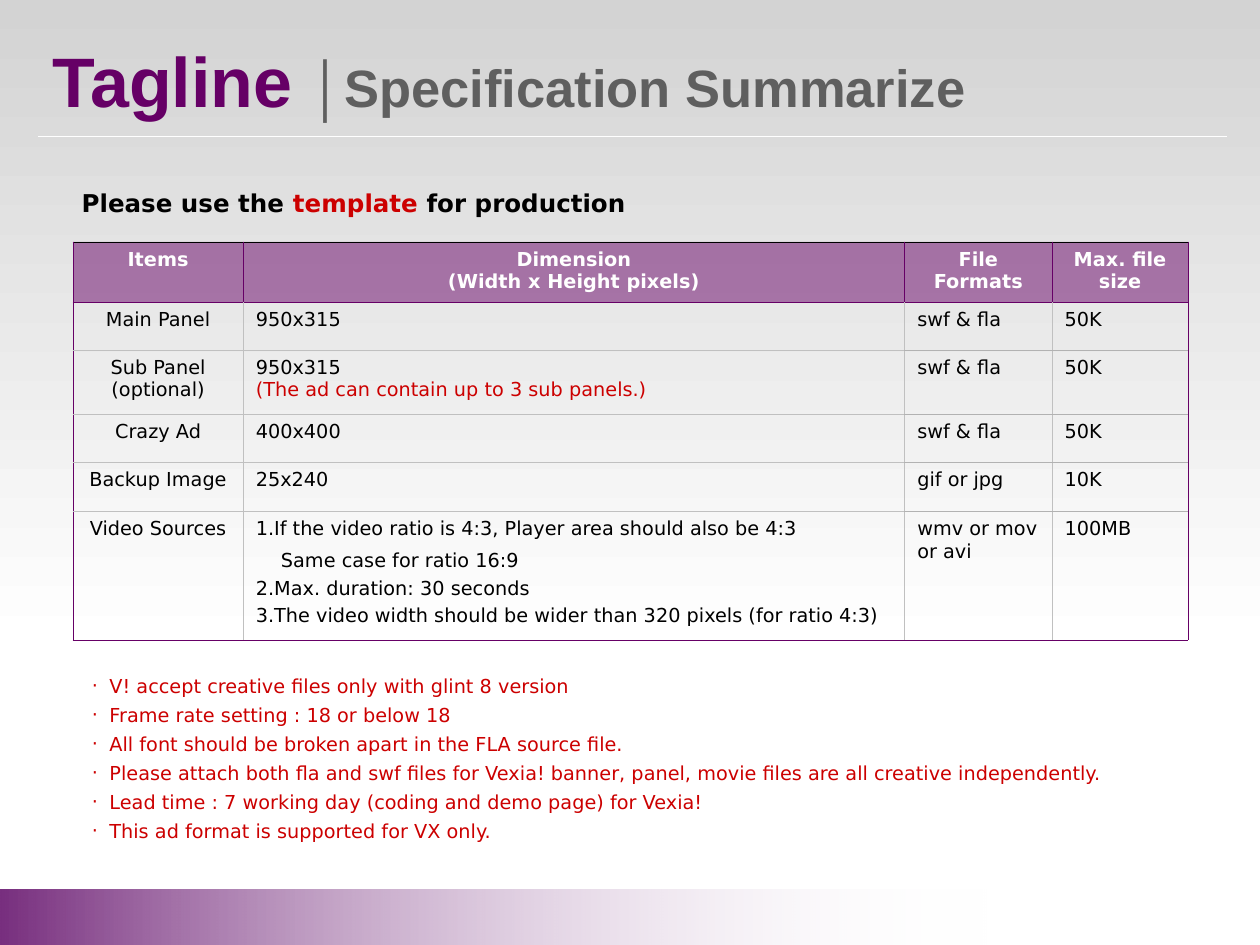
from dataclasses import dataclass
from typing import Optional

from lxml.etree import SubElement
from pptx import Presentation
from pptx.dml.color import RGBColor
from pptx.enum.shapes import MSO_CONNECTOR, MSO_SHAPE
from pptx.enum.text import MSO_AUTO_SIZE, PP_ALIGN
from pptx.oxml.ns import qn
from pptx.util import Inches, Pt

COLORS = {
    "purple": "660066",
    "bar": "782F7F",
    "red": "CC0000",
    "black": "000000",
    "white": "FFFFFF",
    "title_gray": "5F5F5F",
    "backdrop": "D3D3D3",
    "light_rule": "C0C0C0",
    "rule": "B2B2B2",
}
BODY_FONT = "DejaVu Sans"
COLUMN_WIDTHS = [1.35, 5.25, 1.17, 1.08]
ROW_HEIGHTS = [0.48, 0.38, 0.51, 0.38, 0.39, 1.02]


@dataclass
class Line:
    text: str
    color: str = "black"
    size: float = 11
    bold: bool = False
    font: str = BODY_FONT
    space_before: float = 0
    indent: float = 0


@dataclass
class Gradient:
    left: float
    top: float
    width: float
    height: float
    start: str
    angle: int
    end_alpha: Optional[int] = None


GRADIENTS = [
    Gradient(0, 0, 10, 5.12, "backdrop", 270),
    Gradient(0, 7.06, 7.87, 0.49, "bar", 0, end_alpha=0),
]
HEADERS = [["Items"], ["Dimension", "(Width x Height pixels)"], ["File Formats"], ["Max. file size"]]
ROWS = [
    [["Main Panel"], ["950x315"], ["swf & fla"], ["50K"]],
    [["Sub Panel", "(optional)"],
     ["950x315", Line("(The ad can contain up to 3 sub panels.)", color="red")],
     ["swf & fla"], ["50K"]],
    [["Crazy Ad"], ["400x400"], ["swf & fla"], ["50K"]],
    [["Backup Image"], ["25x240"], ["gif or jpg"], ["10K"]],
    [["Video Sources"],
     ["1.If the video ratio is 4:3, Player area should also be 4:3",
      Line("Same case for ratio 16:9", space_before=5.5, indent=0.2),
      Line("2.Max. duration: 30 seconds", space_before=2.8),
      Line("3.The video width should be wider than 320 pixels (for ratio 4:3)", space_before=2.8)],
     ["wmv or mov or avi"], ["100MB"]],
]
NOTES = [
    "V! accept creative files only with glint 8 version",
    "Frame rate setting : 18 or below 18",
    "All font should be broken apart in the FLA source file.",
    "Please attach both fla and swf files for Vexia! banner, panel, movie files are all creative independently.",
    "Lead time : 7 working day (coding and demo page) for Vexia!",
    "This ad format is supported for VX only.",
]


def rgb(name: str) -> RGBColor:
    return RGBColor.from_string(COLORS[name])


def set_alpha(color_element, percent: int) -> None:
    SubElement(color_element, qn("a:alpha")).set("val", str(percent * 1000))


def write(paragraph, text: str, *, color="black", size=11, bold=False, font=BODY_FONT) -> None:
    run = paragraph.add_run()
    run.text = text
    run.font.name = font
    run.font.size = Pt(size)
    run.font.bold = bold
    run.font.color.rgb = rgb(color)


def next_paragraph(frame, index: int):
    return frame.paragraphs[0] if index == 0 else frame.add_paragraph()


def add_gradient(slide, item: Gradient) -> None:
    shape = slide.shapes.add_shape(
        MSO_SHAPE.RECTANGLE, Inches(item.left), Inches(item.top), Inches(item.width), Inches(item.height))
    shape.shadow.inherit = False
    shape.line.fill.background()
    shape.fill.gradient()
    shape.fill.gradient_angle = item.angle
    for stop, color in zip(shape.fill.gradient_stops, (item.start, "white")):
        stop.color.rgb = rgb(color)
    if item.end_alpha is not None:
        set_alpha(shape.element.findall(".//" + qn("a:srgbClr"))[-1], item.end_alpha)


def add_text_box(slide, left: float, top: float, width: float, height: float, wrap: bool = True):
    box = slide.shapes.add_textbox(Inches(left), Inches(top), Inches(width), Inches(height))
    box.text_frame.word_wrap = wrap
    return box.text_frame


def set_borders(cell, row: int, column: int) -> None:
    last_row, last_column = len(ROWS), len(HEADERS) - 1
    inner = "light_rule" if column < 2 else "rule"
    sides = {
        "a:lnL": "purple" if row == 0 or column == 0 else "light_rule",
        "a:lnR": "purple" if row == 0 or column == last_column else "light_rule",
        "a:lnT": "black" if row == 0 else "purple" if row == 1 else inner,
        "a:lnB": "purple" if row in (0, last_row) else inner,
    }
    properties = cell._tc.get_or_add_tcPr()
    for position, (side, color) in enumerate(sides.items()):
        border = SubElement(properties, qn(side), w=str(Pt(0.45)))
        fill = SubElement(border, qn("a:solidFill"))
        SubElement(fill, qn("a:srgbClr"), val=COLORS[color])
        properties.insert(position, border)


def fill_cell(cell, entries: list, row: int, column: int) -> None:
    header = row == 0
    if header:
        cell.fill.solid()
        cell.fill.fore_color.rgb = rgb("purple")
        set_alpha(cell._tc.tcPr.find(".//" + qn("a:srgbClr")), 50)
    else:
        cell.fill.background()
    set_borders(cell, row, column)
    for index, entry in enumerate(entries):
        line = entry if isinstance(entry, Line) else Line(entry, "white" if header else "black", bold=header)
        paragraph = next_paragraph(cell.text_frame, index)
        paragraph.alignment = PP_ALIGN.CENTER if header or column == 0 else PP_ALIGN.LEFT
        if line.space_before:
            paragraph.space_before = Pt(line.space_before)
        if line.indent:
            paragraph._p.get_or_add_pPr().set("marL", str(Inches(line.indent)))
        write(paragraph, line.text, color=line.color, size=line.size, bold=line.bold, font=line.font)


def add_specification_table(slide) -> None:
    rows = [HEADERS, *ROWS]
    table = slide.shapes.add_table(
        len(rows), len(HEADERS), Inches(0.58), Inches(1.92),
        Inches(sum(COLUMN_WIDTHS)), Inches(sum(ROW_HEIGHTS))).table
    table.horz_banding = False
    for column, width in zip(table.columns, COLUMN_WIDTHS):
        column.width = Inches(width)
    for row, height in zip(table.rows, ROW_HEIGHTS):
        row.height = Inches(height)
    for row_index, row in enumerate(rows):
        for column_index, entries in enumerate(row):
            fill_cell(table.cell(row_index, column_index), entries, row_index, column_index)


def add_notes(slide) -> None:
    frame = add_text_box(slide, 0.58, 5.26, 8.75, 1.48)
    for index, note in enumerate(NOTES):
        paragraph = next_paragraph(frame, index)
        paragraph.line_spacing = 1.25
        properties = paragraph._p.get_or_add_pPr()
        properties.set("marL", str(Inches(0.19)))
        properties.set("indent", str(-Inches(0.14)))
        SubElement(properties, qn("a:buFont"), typeface=BODY_FONT)
        SubElement(properties, qn("a:buChar"), char="·")
        write(paragraph, note, color="red")


def main() -> None:
    presentation = Presentation()
    presentation.slide_width, presentation.slide_height = Inches(10), Inches(7.5)
    slide = presentation.slides.add_slide(presentation.slide_layouts[6])
    for item in GRADIENTS:
        add_gradient(slide, item)
    divider = slide.shapes.add_connector(
        MSO_CONNECTOR.STRAIGHT, Inches(0.3), Inches(1.08), Inches(9.74), Inches(1.08))
    divider.line.color.rgb = rgb("white")
    divider.line.width = Pt(0.25)
    SubElement(divider.element.spPr, qn("a:effectLst"))
    add_specification_table(slide)
    add_notes(slide)
    title_frame = add_text_box(slide, 0.32, 0.25, 7.49, 0.77, wrap=False)
    title_frame.auto_size = MSO_AUTO_SIZE.SHAPE_TO_FIT_TEXT
    title = title_frame.paragraphs[0]
    write(title, "Tagline ", color="purple", size=40, bold=True, font="Arial")
    write(title, "│Specification Summarize", color="title_gray", size=30, bold=True, font="Arial")
    heading = add_text_box(slide, 0.55, 1.44, 8.03, 0.39).paragraphs[0]
    for text, color in (("Please use the ", "black"), ("template", "red"), (" for production", "black")):
        write(heading, text, color=color, size=14, bold=True)
    presentation.save("out.pptx")


if __name__ == "__main__":
    main()
